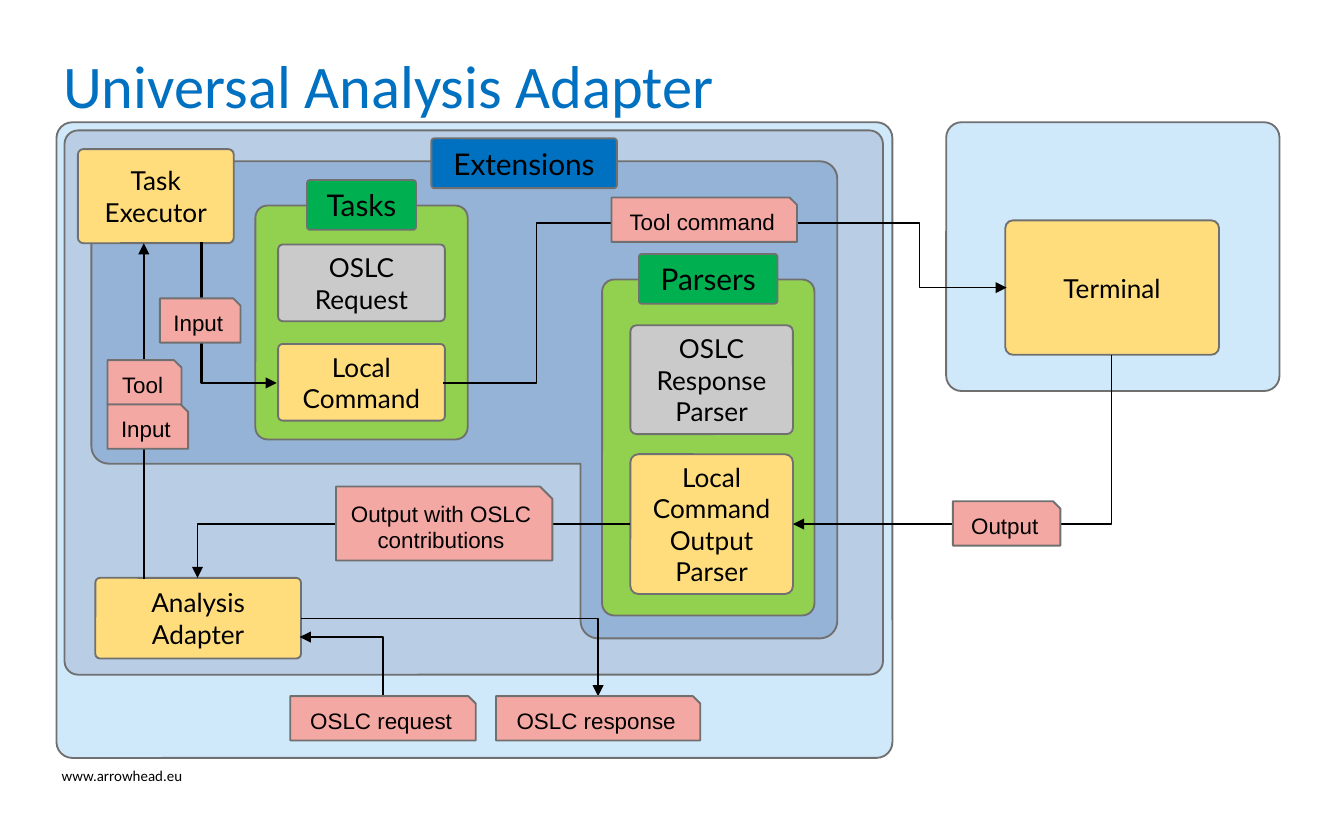
import math

import pptx
import pptx.util
import pptx.dml.color
import pptx.enum.shapes
import pptx.enum.text
import pptx.oxml.ns
import pptx.oxml.xmlchemy

Inches = pptx.util.Inches
Pt = pptx.util.Pt
qn = pptx.oxml.ns.qn
OxmlElement = pptx.oxml.xmlchemy.OxmlElement
SHAPE = pptx.enum.shapes.MSO_SHAPE
CONNECTOR = pptx.enum.shapes.MSO_CONNECTOR
ALIGN = pptx.enum.text.PP_ALIGN
ANCHOR = pptx.enum.text.MSO_ANCHOR

COLORS = {
    "title": "0070C0", "text": "000000", "outline": "707070",
    "system": "D0E9FA", "adapter": "B9CDE5", "extensions": "95B3D7",
    "group": "92D050", "group_heading": "00B050", "extensions_heading": "0070C0",
    "active": "FFDD7D", "inactive": "CACACA", "message": "F4A8A4",
}


def color(name):
    return pptx.dml.color.RGBColor.from_string(COLORS[name])


def add_run(paragraph, text, size, font, ink="text"):
    run = paragraph.add_run()
    run.text = text
    run.font.size = Pt(size)
    run.font.name = font
    run.font.color.rgb = color(ink)


def paint(shape, fill):
    shape.shadow.inherit = False
    shape.fill.solid()
    shape.fill.fore_color.rgb = color(fill)
    shape.line.color.rgb = color("outline")
    shape.line.width = Pt(1)


def write_centred(shape, lines, size, font):
    frame = shape.text_frame
    frame.word_wrap = True
    frame.vertical_anchor = ANCHOR.MIDDLE
    for index, line in enumerate(lines):
        paragraph = frame.add_paragraph() if index else frame.paragraphs[0]
        paragraph.alignment = ALIGN.CENTER
        add_run(paragraph, line, size, font)


def add_panel(shapes, box, fill, lines=(), size=14, rounding=0.057):
    panel = shapes.add_shape(SHAPE.ROUNDED_RECTANGLE, *map(Inches, box))
    panel.adjustments[0] = rounding
    paint(panel, fill)
    write_centred(panel, lines, size, "Lato")


def add_message(shapes, box, label):
    message = shapes.add_shape(SHAPE.SNIP_1_RECTANGLE, *map(Inches, box))
    paint(message, "message")
    write_centred(message, [label], 12, "Arial")


def add_flow(shapes, begin, end, preset="line", arrow="tailEnd", width=0.75, bend=None):
    """Draw a flow; a bentConnector2 leaves begin sideways and meets end vertically."""
    kind = CONNECTOR.STRAIGHT if preset == "line" else CONNECTOR.ELBOW
    flow = shapes.add_connector(kind, *map(Inches, begin + end))
    flow.line.color.rgb = color("text")
    flow.line.width = Pt(width)
    properties = flow._element.spPr
    geometry = properties.find(qn("a:prstGeom"))
    geometry.set("prst", preset)
    if bend is not None:
        guide = OxmlElement("a:gd")
        guide.set("name", "adj1")
        guide.set("fmla", f"val {round(bend * 100000)}")
        geometry.get_or_add_avLst().append(guide)
    if arrow:
        arrowhead = OxmlElement(f"a:{arrow}")
        arrowhead.set("type", "triangle")
        properties.find(qn("a:ln")).append(arrowhead)
    properties.append(OxmlElement("a:effectLst"))


def rounded_corner(before, corner, after, radius, steps=8):
    """Return points on the arc that replaces a corner of an outline."""
    def toward(point):
        length = math.dist(corner, point)
        return [(p - c) / length for p, c in zip(point, corner)]

    back, ahead = toward(before), toward(after)
    angles = [math.pi / 2 * step / steps for step in range(steps + 1)]
    return [
        tuple(c + radius * (b + a - a * math.cos(t) - b * math.sin(t))
              for c, b, a in zip(corner, back, ahead))
        for t in angles
    ]


def add_extensions_area(shapes, left, top, width, height):
    """Draw the L-shaped area with its heading; the inner corner stays sharp."""
    right, bottom = left + width, top + height
    step_x, step_y = left + 3.64, top + 2.25
    corners = [(left, top), (right, top), (right, bottom),
               (step_x, bottom), (step_x, step_y), (left, step_y)]
    outline = []
    for index, corner in enumerate(corners):
        if corner == (step_x, step_y):
            outline.append(corner)
        else:
            after = corners[(index + 1) % len(corners)]
            outline += rounded_corner(corners[index - 1], corner, after, 0.13)
    points = [tuple(map(Inches, point)) for point in outline]
    builder = shapes.build_freeform(*points[0])
    builder.add_line_segments(points[1:], close=True)
    paint(builder.convert_to_shape(), "extensions")
    add_panel(shapes, (left + 2.53, top - 0.17, 1.38, 0.37),
              "extensions_heading", ["Extensions"], 16)


def add_extension_group(shapes, box, heading, heading_width, step_left, step_width, steps):
    """Draw a green group; each step is (top offset, height, fill, lines)."""
    left, top, width, _ = box
    members = shapes.add_group_shape().shapes
    add_panel(members, box, "group")
    heading_left = left + (width - heading_width) / 2
    add_panel(members, (heading_left, top - 0.19, heading_width, 0.37),
              "group_heading", [heading], 16)
    for offset, height, fill, lines in steps:
        add_panel(members, (left + step_left, top + offset, step_width, height), fill, lines)


def add_adapter(shapes, left, top, width, height):
    add_panel(shapes, (left, top, width, height), "system", rounding=0.025)
    add_panel(shapes, (left + 0.06, top + 0.06, width - 0.13, height - 0.68),
              "adapter", rounding=0.025)
    add_extensions_area(shapes, left + 0.26, top + 0.29, 5.55, 3.55)
    add_extension_group(
        shapes, (left + 4.06, top + 1.17, 1.58, 2.5), "Parsers", 1.03, 0.21, 1.21,
        [(0.34, 0.81, "inactive", ["OSLC", "Response", "Parser"]),
         (1.3, 1.04, "active", ["Local", "Command", "Output", "Parser"])])
    add_extension_group(
        shapes, (left + 1.48, top + 0.62, 1.58, 1.74), "Tasks", 0.81, 0.17, 1.24,
        [(0.29, 0.57, "inactive", ["OSLC", "Request"]),
         (1.03, 0.57, "active", ["Local", "Command"])])
    add_panel(shapes, (left + 0.16, top + 0.2, 1.16, 0.7), "active", ["Task", "Executor"])
    add_panel(shapes, (left + 0.29, top + 3.39, 1.53, 0.6), "active", ["Analysis", "Adapter"])


def add_terminal(shapes, left, top, width, height):
    members = shapes.add_group_shape().shapes
    add_panel(members, (left, top, width, height), "system")
    add_panel(members, (left + 0.44, top + 0.73, 1.59, 1), "active", ["Terminal"])


def add_flows(shapes):
    corner, elbow = "bentConnector2", "bentConnector3"
    add_flow(shapes, (1.07, 4.31), (1.07, 1.81), width=1.25)
    add_flow(shapes, (2.06, 2.85), (1.5, 1.8), corner, "headEnd", 1.25)
    add_flow(shapes, (5.21, 1.66), (7.49, 2.14), elbow, bend=0.716)
    add_flow(shapes, (3.3, 2.85), (5.24, 1.66), elbow, None, bend=0.357)
    add_flow(shapes, (5.9, 3.9), (8.27, 2.64), corner, "headEnd")
    add_flow(shapes, (4.69, 3.9), (1.47, 4.3), corner)
    add_flow(shapes, (2.23, 4.74), (2.85, 5.18), corner, "headEnd")
    add_flow(shapes, (2.24, 4.6), (4.45, 5.18), corner)


def add_messages(shapes):
    for label, left, top, width, height in [
        ("Tool", 0.8, 2.68, 0.55, 0.33),
        ("Output", 7.09, 3.73, 0.8, 0.33),
        ("Output with OSLC contributions", 2.5, 3.62, 1.61, 0.55),
        ("Tool command", 4.55, 1.47, 1.38, 0.33),
        ("Input", 1.19, 2.22, 0.6, 0.33),
        ("Input", 0.8, 3.01, 0.6, 0.33),
        ("OSLC request", 2.16, 5.18, 1.38, 0.33),
        ("OSLC response", 3.69, 5.18, 1.52, 0.33),
    ]:
        add_message(shapes, (left, top, width, height), label)


def fill_text_area(area, box, text, size, ink):
    area.left, area.top, area.width, area.height = map(Inches, box)
    frame = area.text_frame
    frame.word_wrap = True
    frame.vertical_anchor = ANCHOR.MIDDLE
    frame.margin_left = frame.margin_right = Inches(0.05)
    frame.margin_top = frame.margin_bottom = Inches(0.05)
    frame.paragraphs[0].alignment = ALIGN.LEFT
    add_run(frame.paragraphs[0], text, size, "Calibri", ink)


def main():
    deck = pptx.Presentation()
    deck.slide_width, deck.slide_height = Inches(10), Inches(6.25)
    slide = deck.slides.add_slide(deck.slide_layouts[5])
    shapes = slide.shapes
    fill_text_area(shapes.title, (0.42, 0.31, 8.14, 0.64),
                   "Universal Analysis Adapter", 32.4, "title")
    web_address = shapes.add_textbox(0, 0, 0, 0)
    fill_text_area(web_address, (0.41, 5.65, 4.34, 0.24), "www.arrowhead.eu", 8, "text")
    add_adapter(shapes, 0.42, 0.91, 6.22, 4.73)
    add_terminal(shapes, 7.04, 0.91, 2.48, 2)
    add_flows(shapes)
    add_messages(shapes)
    deck.save("out.pptx")


if __name__ == "__main__":
    main()
